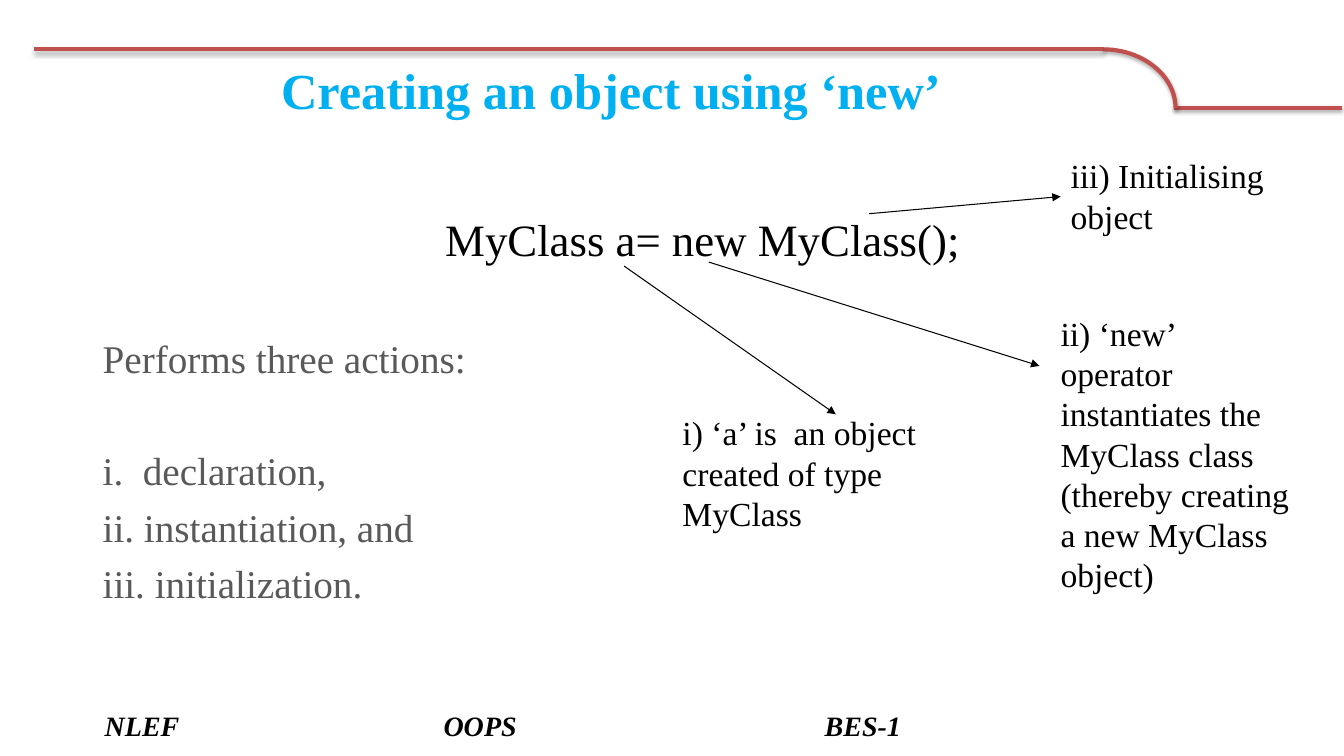
from pptx import Presentation
from pptx import util as u
from pptx.dml.color import RGBColor
from pptx.enum import shapes, text
from pptx.oxml import parse_xml
from pptx.oxml.ns import nsdecls, qn

WIDTH, HEIGHT = u.Inches(13.33), u.Inches(7.5)
FONT = "Times New Roman"
COLORS = {"rule": "C0504D", "title": "00B0F0", "ink": "000000", "list": "595959"}
LIST_LINES = ["Performs three actions:", "i.  declaration,",
              "ii. instantiation, and", "iii. initialization."]
LIST_GAPS = [0, 46, 7, 7]
CALLOUTS = [
    ("i) ‘a’ is  an object created of type MyClass",
     (50.04, 53.87, 24.31, 17.47), (46.44, 35.2, 62.19, 54.8)),
    ("ii) ‘new’ operator instantiates the MyClass class "
     "(thereby creating a new MyClass object)",
     (78.17, 40.67, 18.68, 39.07), (52.74, 34.67, 77.34, 48.4)),
    ("iii) Initialising object",
     (78.92, 19.87, 16.5, 12.13), (64.67, 28.27, 78.92, 26)),
]
FOOTER = [("NLEF", 7.05), ("OOPS", 32.26), ("BES-1", 60.62)]


def color(name):
    return RGBColor.from_string(COLORS[name])


def shares(box):
    return [int((HEIGHT if index % 2 else WIDTH) * share / 100)
            for index, share in enumerate(box)]


def set_values(target, values):
    for name, value in values.items():
        setattr(target, name, value)


def add_text(slide, lines, box, size, ink="ink", gaps=(0,), align="LEFT",
             anchor="TOP", grow=False, **font_values):
    shape = slide.shapes.add_textbox(*shares(box))
    frame = shape.text_frame
    set_values(frame, {
        "word_wrap": True,
        "vertical_anchor": getattr(text.MSO_ANCHOR, anchor),
        "auto_size": text.MSO_AUTO_SIZE.SHAPE_TO_FIT_TEXT if grow
        else text.MSO_AUTO_SIZE.NONE,
    })
    frame.text = "\n".join(lines)
    for paragraph, gap in zip(frame.paragraphs, gaps):
        set_values(paragraph, {"alignment": getattr(text.PP_ALIGN, align),
                               "space_before": u.Pt(gap)})
        font = paragraph.runs[0].font
        set_values(font, {"name": FONT, "size": u.Pt(size), **font_values})
        font.color.rgb = color(ink)


def style_line(shape, ink, width):
    shape.line.color.rgb = color(ink)
    shape.line.width = u.Pt(width)


def add_shadow(shape):
    properties = shape._element.spPr
    for effects in properties.findall(qn("a:effectLst")):
        properties.remove(effects)
    properties.append(parse_xml(
        f'<a:effectLst {nsdecls("a")}>'
        f'<a:outerShdw blurRad="{u.Pt(3.1)}" dist="{u.Pt(1.8)}" dir="5400000" '
        'rotWithShape="0"><a:srgbClr val="000000"><a:alpha val="35000"/>'
        '</a:srgbClr></a:outerShdw></a:effectLst>'))


def add_line(slide, ends, ink, width):
    line = slide.shapes.add_connector(shapes.MSO_CONNECTOR.STRAIGHT, *shares(ends))
    style_line(line, ink, width)
    return line


def add_rule(slide, ends):
    add_shadow(add_line(slide, ends, "rule", 3))


def add_corner(slide, box):
    arc = slide.shapes.add_shape(shapes.MSO_SHAPE.ARC, *shares(box))
    arc.fill.background()
    style_line(arc, "rule", 3)
    add_shadow(arc)


def add_arrow(slide, ends):
    arrow = add_line(slide, ends, "ink", 0.75)
    arrow.line._get_or_add_ln().append(
        parse_xml(f'<a:tailEnd {nsdecls("a")} type="triangle"/>'))
    arrow._element.spPr.append(parse_xml(f'<a:effectLst {nsdecls("a")}/>'))


def add_callout(slide, words, box, ends):
    add_arrow(slide, ends)
    add_text(slide, [words], box, 24, grow=True)


def main():
    presentation = Presentation()
    set_values(presentation, {"slide_width": WIDTH, "slide_height": HEIGHT})
    slide = presentation.slides.add_slide(presentation.slide_layouts[6])

    add_rule(slide, (87.32, 14.27, 99.85, 14.27))
    add_corner(slide, (76.67, 6.53, 10.8, 15.6))
    add_rule(slide, (82.07, 6.53, 2.5, 6.53))
    add_text(slide, ["Creating an object using ‘new’"], (5.03, 7.07, 80.87, 9.6),
             36, "title", align="CENTER", anchor="MIDDLE", bold=True)
    add_text(slide, ["MyClass a= new MyClass();"], (6.9, 27.33, 90.77, 8.67),
             32, align="CENTER")
    add_text(slide, LIST_LINES, (6.9, 43.6, 40, 40), 28, "list", LIST_GAPS)
    for callout in CALLOUTS:
        add_callout(slide, *callout)
    for words, left in FOOTER:
        add_text(slide, [words], (left, 92.93, 12, 6), 20, anchor="MIDDLE",
                 bold=True, italic=True)
    presentation.save("out.pptx")


main()
